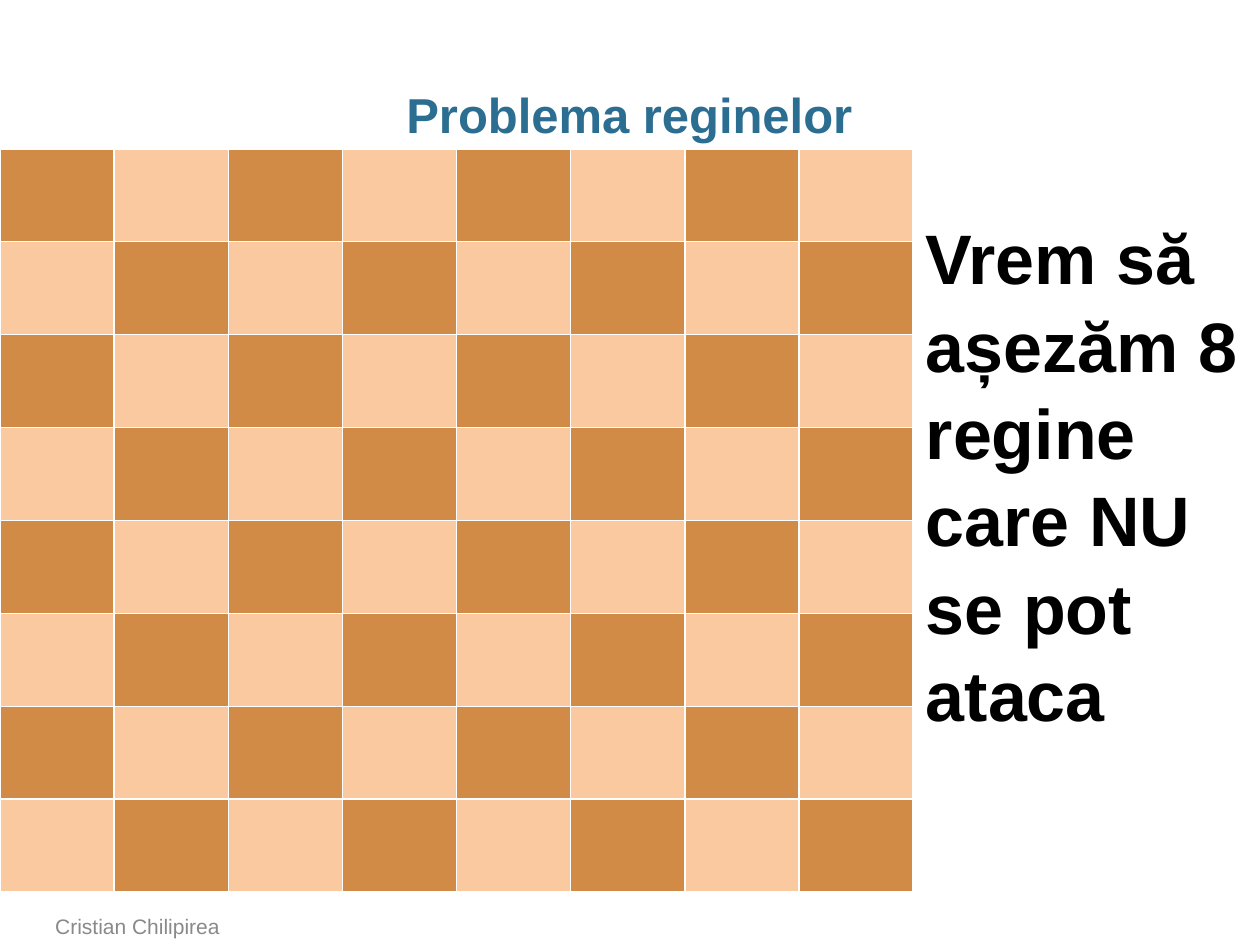
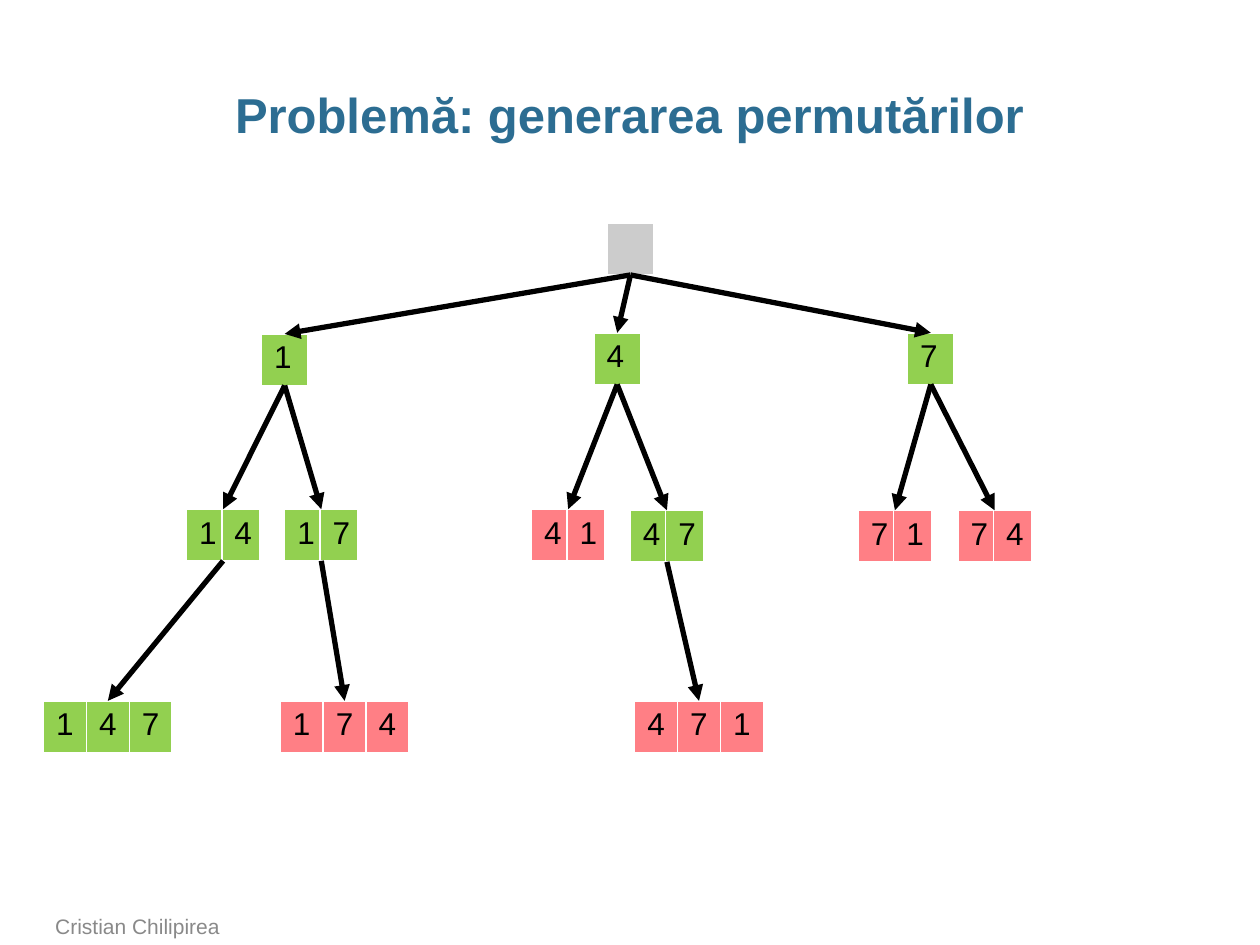
from dataclasses import dataclass

from lxml import etree
from pptx import Presentation
from pptx.dml.color import RGBColor
from pptx.enum.shapes import MSO_CONNECTOR
from pptx.enum.text import MSO_ANCHOR, PP_ALIGN
from pptx.oxml.ns import qn
from pptx.util import Pt

STRAIGHT = MSO_CONNECTOR.STRAIGHT
TOP, MIDDLE, BOTTOM = MSO_ANCHOR.TOP, MSO_ANCHOR.MIDDLE, MSO_ANCHOR.BOTTOM
CENTER = PP_ALIGN.CENTER

FONT = "Arial"
BLACK, WHITE = "000000", "FFFFFF"
TITLE_BLUE, FOOTER_GREY = "2C6D92", "898989"
DARK_SQUARE, LIGHT_SQUARE = "D18B47", "FBC99F"
ROOT_GREY, VALID_GREEN, REJECTED_RED = "CCCCCC", "92D050", "FF7F85"

BOARD_SIZE = 8
NODE_HEIGHT = 29.5
NODE_COLUMNS = {1: [26.6], 2: [20.2, 21.6], 3: [24.5] * 3}


@dataclass(frozen=True)
class Box:
    left: float
    top: float
    width: float
    height: float


@dataclass(frozen=True)
class Node:
    digits: str
    left: float
    top: float
    fill: str

    @property
    def columns(self) -> list[float]:
        return NODE_COLUMNS[max(1, len(self.digits))]

    @property
    def center(self) -> float:
        return self.left + sum(self.columns) / 2


TITLE_BOX = Box(24.5, 49, 670.3, 36)
FOOTER_BOX = Box(24.5, 519.8, 530.6, 20.2)
BOARD_BOX = Box(0, 85, 522, 424.8)
GOAL_BOX = Box(522, 117.4, 198, 298)

TREE = [
    Node("", 347, 127.6, ROOT_GREY),
    Node("1", 149.4, 190.8, VALID_GREEN),
    Node("4", 339.4, 190.2, VALID_GREEN),
    Node("7", 518.6, 190.2, VALID_GREEN),
    Node("14", 106.6, 291, VALID_GREEN),
    Node("17", 162.7, 291, VALID_GREEN),
    Node("41", 303.8, 291, REJECTED_RED),
    Node("47", 360.2, 291.6, VALID_GREEN),
    Node("71", 490.5, 291.6, REJECTED_RED),
    Node("74", 547.5, 291.6, REJECTED_RED),
    Node("147", 24.9, 400.5, VALID_GREEN),
    Node("174", 160.2, 400.5, REJECTED_RED),
    Node("471", 362.7, 400.5, REJECTED_RED),
]


def color(value: str) -> RGBColor:
    """Turn a hex string into a colour."""
    return RGBColor.from_string(value)


def add_run(paragraph, text: str, size: float, hex_color: str = BLACK, bold: bool = False) -> None:
    """Append a formatted run to a paragraph."""
    run = paragraph.add_run()
    run.text = text
    run.font.name = FONT
    run.font.size = Pt(size)
    run.font.bold = bold
    run.font.color.rgb = color(hex_color)


def add_text(slide, box: Box, text: str, size: float, hex_color: str = BLACK,
             bold: bool = False, anchor=TOP, spacing: float = 1.0) -> None:
    """Add a wrapped text box holding one paragraph."""
    shape = slide.shapes.add_textbox(Pt(box.left), Pt(box.top), Pt(box.width), Pt(box.height))
    frame = shape.text_frame
    frame.word_wrap = True
    frame.vertical_anchor = anchor
    paragraph = frame.paragraphs[0]
    paragraph.line_spacing = spacing
    add_run(paragraph, text, size, hex_color, bold)


def add_slide(presentation, title: str):
    """Add a slide with the shared title and footer."""
    slide = presentation.slides.add_slide(presentation.slide_layouts[5])
    shape = slide.shapes.title
    shape.left, shape.top = Pt(TITLE_BOX.left), Pt(TITLE_BOX.top)
    shape.width, shape.height = Pt(TITLE_BOX.width), Pt(TITLE_BOX.height)
    frame = shape.text_frame
    frame.margin_left = frame.margin_right = 0
    frame.margin_top = frame.margin_bottom = Pt(3.6)
    frame.vertical_anchor = MIDDLE
    paragraph = frame.paragraphs[0]
    paragraph.alignment = CENTER
    paragraph.line_spacing = 0.95
    add_run(paragraph, title, 28, TITLE_BLUE, bold=True)
    add_text(slide, FOOTER_BOX, "Cristian Chilipirea", 12, FOOTER_GREY, anchor=BOTTOM)
    return slide


def style_cell(cell, fill: str) -> None:
    """Give a cell thin white borders and a solid fill."""
    properties = cell._tc.get_or_add_tcPr()
    for side in ("a:lnL", "a:lnR", "a:lnT", "a:lnB"):
        border = etree.SubElement(properties, qn(side), w=str(Pt(1)))
        solid = etree.SubElement(border, qn("a:solidFill"))
        etree.SubElement(solid, qn("a:srgbClr"), val=WHITE)
    cell.fill.solid()
    cell.fill.fore_color.rgb = color(fill)


def add_grid(slide, left: float, top: float, columns: list[float], rows: list[float]):
    """Add an unbanded table with the given column widths and row heights."""
    table = slide.shapes.add_table(len(rows), len(columns), Pt(left), Pt(top),
                                   Pt(sum(columns)), Pt(sum(rows))).table
    table.first_row = table.horz_banding = False
    for column, width in zip(table.columns, columns):
        column.width = Pt(width)
    for row, height in zip(table.rows, rows):
        row.height = Pt(height)
    return table


def add_board(slide) -> None:
    """Draw the chessboard."""
    table = add_grid(slide, BOARD_BOX.left, BOARD_BOX.top,
                     [BOARD_BOX.width / BOARD_SIZE] * BOARD_SIZE,
                     [BOARD_BOX.height / BOARD_SIZE] * BOARD_SIZE)
    for row in range(BOARD_SIZE):
        for column in range(BOARD_SIZE):
            fill = LIGHT_SQUARE if (row + column) % 2 else DARK_SQUARE
            style_cell(table.cell(row, column), fill)


def add_node(slide, node: Node) -> None:
    """Draw one partial permutation as a single-row table."""
    table = add_grid(slide, node.left, node.top, node.columns, [NODE_HEIGHT])
    for cell in table.iter_cells():
        style_cell(cell, node.fill)
    for column, digit in enumerate(node.digits):
        add_run(table.cell(0, column).text_frame.paragraphs[0], digit, 18)


def add_branch(slide, parent: Node, child: Node) -> None:
    """Draw an arrow from a parent's bottom to a child's top."""
    connector = slide.shapes.add_connector(STRAIGHT, Pt(parent.center), Pt(parent.top + NODE_HEIGHT),
                                           Pt(child.center), Pt(child.top))
    connector.line.color.rgb = color(BLACK)
    connector.line.width = Pt(3)
    etree.SubElement(connector.line._get_or_add_ln(), qn("a:tailEnd"), type="triangle")
    etree.SubElement(connector._element.spPr, qn("a:effectLst"))


def build_queens_slide(presentation) -> None:
    """Build the eight queens slide."""
    slide = add_slide(presentation, "Problema reginelor")
    add_board(slide)
    add_text(slide, GOAL_BOX, "Vrem să așezăm 8 regine care NU se pot ataca", 40,
             bold=True, spacing=1.04)


def build_permutations_slide(presentation) -> None:
    """Build the permutation tree slide."""
    slide = add_slide(presentation, "Problemă: generarea permutărilor")
    nodes = {node.digits: node for node in TREE}
    for node in TREE:
        add_node(slide, node)
    for node in TREE:
        if node.digits:
            add_branch(slide, nodes[node.digits[:-1]], node)


def main() -> None:
    """Build and save the presentation."""
    presentation = Presentation()
    presentation.slide_width, presentation.slide_height = Pt(720), Pt(540)
    build_queens_slide(presentation)
    build_permutations_slide(presentation)
    presentation.save("out.pptx")


if __name__ == "__main__":
    main()
